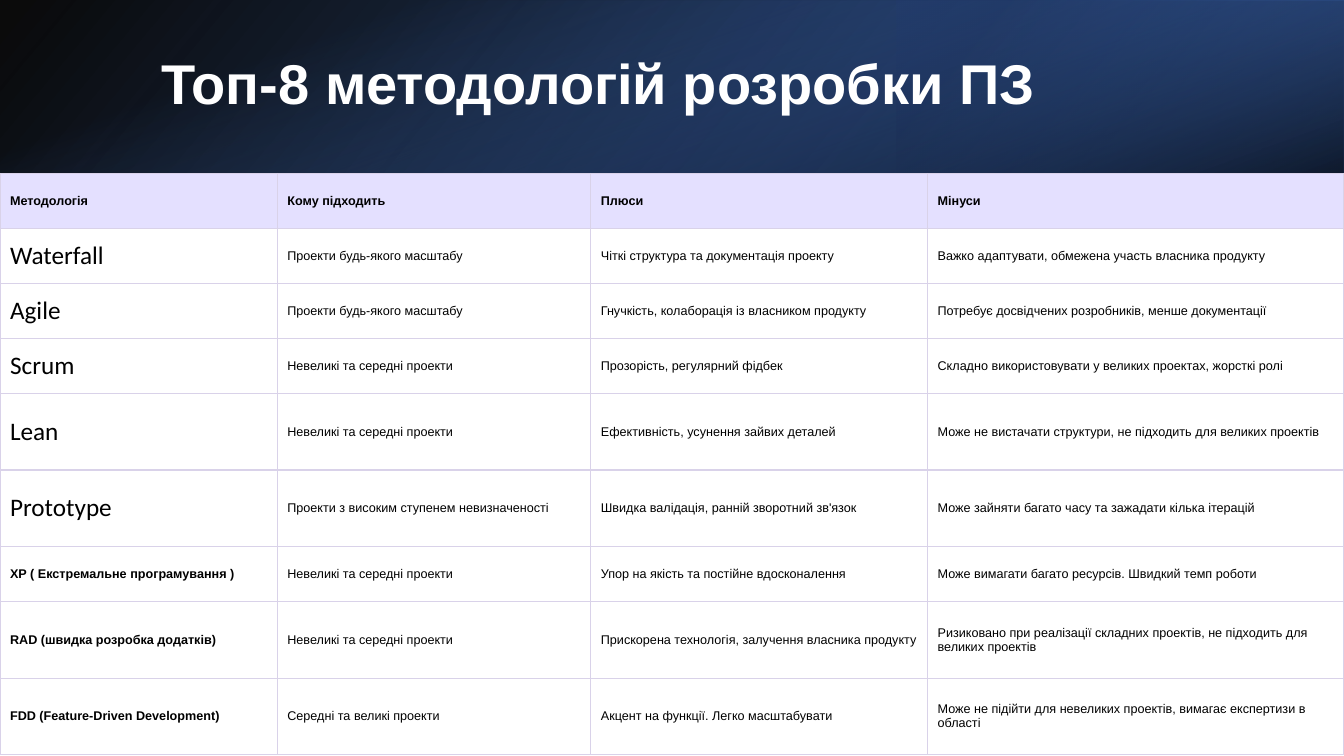
from lxml import etree
from pptx import Presentation, util as u
from pptx.dml import color
from pptx.enum import shapes, text
from pptx.oxml import ns

COLORS = {
    "black": "000000", "white": "FFFFFF", "navy": "203864", "blue": "2F5597",
    "bright": "4472C4", "header": "E4E0FF", "border": "D9D2E9",
}


def add_child(parent, tag, **attributes):
    return etree.SubElement(parent, ns.qn(tag), attributes)


def style_run(run, size, font, shade, bold):
    run.font.size = u.Pt(size)
    run.font.name = font
    run.font.bold = bold
    run.font.color.rgb = color.RGBColor.from_string(COLORS[shade])


deck = Presentation()
deck.slide_width, deck.slide_height = u.Inches(13.33), u.Inches(7.5)
slide = deck.slides.add_slide(deck.slide_layouts[6])

banner_layers = [
    ((0, 0, 13.33, 1.72), 0, True, 140, [(0, "black", 96), (100, "blue", 100)]),
    ((8.89, 0, 4.44, 1.72), 180, True, 320, [(19, "navy", 68), (100, "bright", 79)]),
    ((5.8, -5.8, 1.72, 13.33), 90, False, 340, [(23, "bright", 0), (99, "black", 74)]),
]
for box, rotation, flipped, angle, stops in banner_layers:
    layer = slide.shapes.add_shape(shapes.MSO_SHAPE.RECTANGLE, *map(u.Inches, box))
    layer.shadow.inherit = False
    layer.rotation = rotation
    layer.line.fill.background()
    properties = layer._element.spPr
    if flipped:
        properties.xfrm.set("flipH", "1")
    gradient = etree.Element(ns.qn("a:gradFill"))
    stop_list = add_child(gradient, "a:gsLst")
    for position, shade, opacity in stops:
        stop = add_child(stop_list, "a:gs", pos=str(position * 1000))
        stop_color = add_child(stop, "a:srgbClr", val=COLORS[shade])
        add_child(stop_color, "a:alpha", val=str(opacity * 1000))
    add_child(gradient, "a:lin", ang=str(angle * 60000), scaled="0")
    properties.find(ns.qn("a:prstGeom")).addnext(gradient)

title = slide.shapes.add_textbox(*map(u.Inches, (1.5, 0.38, 10.98, 0.96))).text_frame
title.word_wrap = True
title.vertical_anchor = text.MSO_ANCHOR.MIDDLE
title.text = "Топ-8 методологій розробки ПЗ"
title.paragraphs[0].line_spacing = 0.9
style_run(title.paragraphs[0].runs[0], 40, "Arial", "white", True)

methodologies = [
    ("Методологія", "Кому підходить", "Плюси", "Мінуси"),
    ("Waterfall", "Проекти будь-якого масштабу", "Чіткі структура та документація проекту",
     "Важко адаптувати, обмежена участь власника продукту"),
    ("Agile", "Проекти будь-якого масштабу", "Гнучкість, колаборація із власником продукту",
     "Потребує досвідчених розробників, менше документації"),
    ("Scrum", "Невеликі та середні проекти", "Прозорість, регулярний фідбек",
     "Складно використовувати у великих проектах, жорсткі ролі"),
    ("Lean", "Невеликі та середні проекти", "Ефективність, усунення зайвих деталей",
     "Може не вистачати структури, не підходить для великих проектів"),
    ("Prototype", "Проекти з високим ступенем невизначеності",
     "Швидка валідація, ранній зворотний зв'язок",
     "Може зайняти багато часу та зажадати кілька ітерацій"),
    ("XP ( Екстремальне програмування )", "Невеликі та середні проекти",
     "Упор на якість та постійне вдосконалення",
     "Може вимагати багато ресурсів. Швидкий темп роботи"),
    ("RAD (швидка розробка додатків)", "Невеликі та середні проекти",
     "Прискорена технологія, залучення власника продукту",
     "Ризиковано при реалізації складних проектів, не підходить для великих проектів"),
    ("FDD (Feature-Driven Development)", "Середні та великі проекти",
     "Акцент на функції. Легко масштабувати",
     "Може не підійти для невеликих проектів, вимагає експертизи в області"),
]
column_widths = [2.75, 3.11, 3.34, 4.13]
tall_rows = {4, 5, 7, 8}
large_name_rows = range(1, 6)

comparison = slide.shapes.add_table(
    len(methodologies), len(column_widths), *map(u.Inches, (0, 1.72, 13.33, 5.78))).table
comparison.first_row = comparison.horz_banding = False
for column, width in zip(comparison.columns, column_widths):
    column.width = u.Inches(width)

for row, values in enumerate(methodologies):
    comparison.rows[row].height = u.Inches(0.76 if row in tall_rows else 0.546)
    for col, value in enumerate(values):
        cell = comparison.cell(row, col)
        cell.text = value
        cell.vertical_anchor = text.MSO_ANCHOR.MIDDLE
        cell.margin_left = cell.margin_right = u.Inches(0.1)
        cell.margin_top = cell.margin_bottom = u.Inches(0.1)
        large = col == 0 and row in large_name_rows
        style_run(cell.text_frame.paragraphs[0].runs[0], 18 if large else 9,
                  "Calibri" if large else "Arial", "black",
                  row == 0 or (col == 0 and not large))
        cell_properties = cell._tc.get_or_add_tcPr()
        for side in ("a:lnL", "a:lnR", "a:lnT", "a:lnB"):
            border = add_child(cell_properties, side, w=str(u.Pt(1)))
            border_fill = add_child(border, "a:solidFill")
            add_child(border_fill, "a:srgbClr", val=COLORS["border"])
        if row == 0:
            cell.fill.solid()
            cell.fill.fore_color.rgb = color.RGBColor.from_string(COLORS["header"])
        else:
            cell.fill.background()

deck.save("out.pptx")
